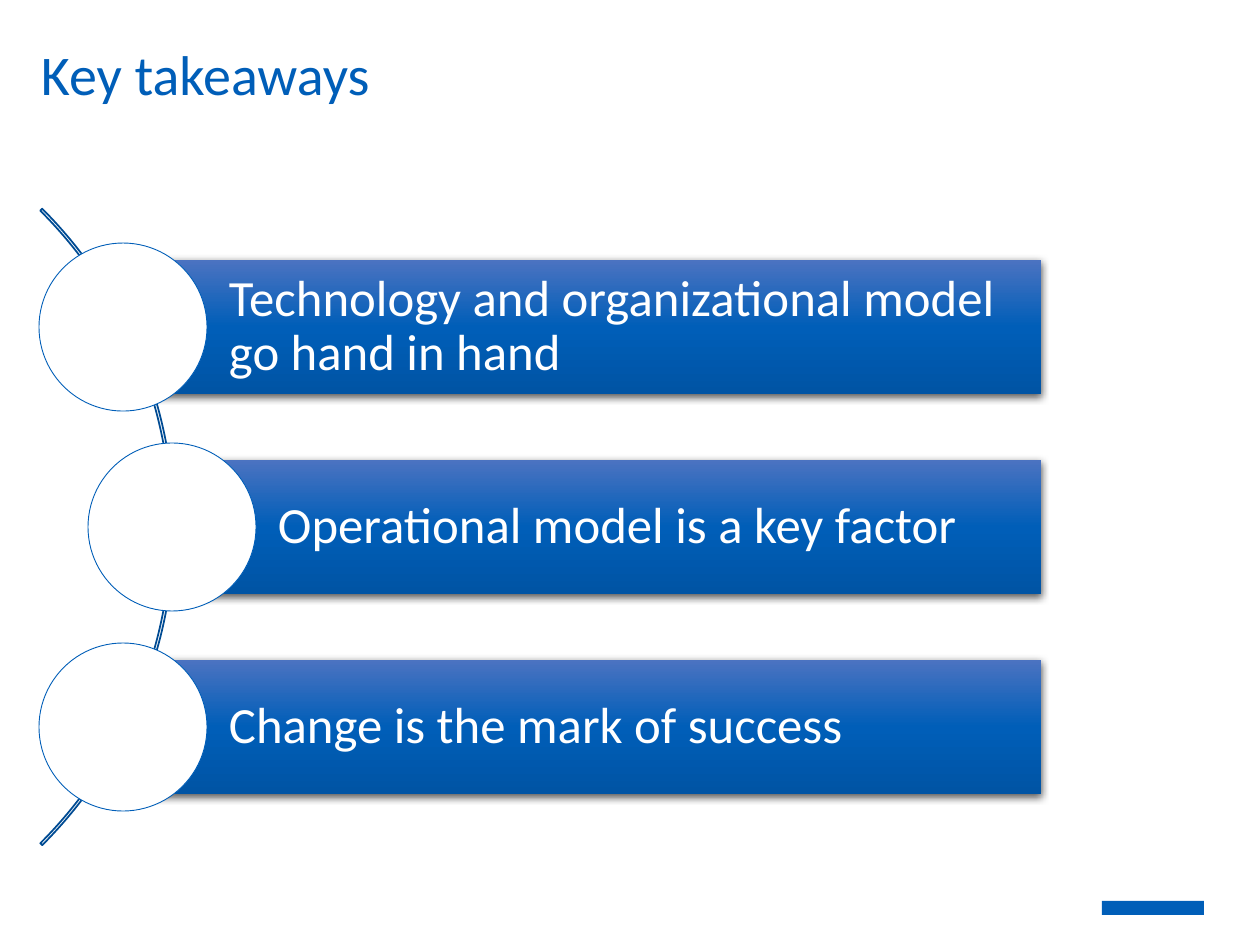
from dataclasses import dataclass

from pptx import Presentation
from pptx.dml.color import RGBColor
from pptx.enum.shapes import MSO_SHAPE
from pptx.enum.text import MSO_ANCHOR, PP_ALIGN
from pptx.oxml import parse_xml
from pptx.oxml.ns import nsdecls
from pptx.util import Emu, Pt

RECT, OVAL, BLOCK_ARC = MSO_SHAPE.RECTANGLE, MSO_SHAPE.OVAL, MSO_SHAPE.BLOCK_ARC
TOP, MIDDLE = MSO_ANCHOR.TOP, MSO_ANCHOR.MIDDLE
LEFT = PP_ALIGN.LEFT

SLIDE_WIDTH, SLIDE_HEIGHT = 1260, 945
EMU_PER_PX = 914400 / 126


@dataclass(frozen=True)
class Theme:
    font: str = "Calibri"
    title_size: int = 32
    takeaway_size: int = 29
    blue: str = "005EB8"
    arc_line: str = "004B93"
    white: str = "FFFFFF"
    shadow: str = "000000"
    bar_stops: tuple = ((0, "4B73C1"), (50, "005EB8"), (100, "0054A4"))


def px(length):
    return Emu(round(length * EMU_PER_PX))


class TakeawaySlide:
    def __init__(self, slide, theme):
        self.slide = slide
        self.theme = theme

    def shape(self, kind, left, top, width, height, fill=None, line=None, line_width=1):
        shape = self.slide.shapes.add_shape(
            kind, px(left), px(top), px(width), px(height))
        shape.shadow.inherit = False
        if fill:
            shape.fill.solid()
            shape.fill.fore_color.rgb = RGBColor.from_string(fill)
        else:
            shape.fill.background()
        if line:
            shape.line.color.rgb = RGBColor.from_string(line)
            shape.line.width = Pt(line_width)
        else:
            shape.line.fill.background()
        return shape

    def set_text(self, shape, text, size, color, anchor, insets, line_spacing=1.0):
        """Set the text; insets are left, top, right, bottom."""
        frame = shape.text_frame
        frame.word_wrap = True
        frame.vertical_anchor = anchor
        (frame.margin_left, frame.margin_top,
         frame.margin_right, frame.margin_bottom) = map(px, insets)
        paragraph = frame.paragraphs[0]
        paragraph.text = text
        paragraph.alignment = LEFT
        paragraph.line_spacing = line_spacing
        paragraph.font.name = self.theme.font
        paragraph.font.size = Pt(size)
        paragraph.font.color.rgb = RGBColor.from_string(color)

    def title(self, text, left, top, width, height):
        box = self.slide.shapes.add_textbox(px(left), px(top), px(width), px(height))
        self.set_text(box, text, self.theme.title_size, self.theme.blue, TOP, (13, 0, 13, 6))

    def arc(self, left, top, size):
        arc = self.shape(BLOCK_ARC, left, top, size, size, line=self.theme.arc_line)
        for index, value in enumerate((189, 27, 0.003)):
            arc.adjustments[index] = value

    def shade_bar(self, bar):
        """Give the bar its three-stop gradient and soft shadow below."""
        stops = "".join(
            f'<a:gs pos="{position * 1000}"><a:srgbClr val="{color}"/></a:gs>'
            for position, color in self.theme.bar_stops)
        gradient = parse_xml(
            f'<a:gradFill {nsdecls("a")} rotWithShape="1"><a:gsLst>{stops}</a:gsLst>'
            '<a:lin ang="5400000" scaled="0"/></a:gradFill>')
        shadow = parse_xml(
            f'<a:outerShdw {nsdecls("a")} blurRad="{Pt(4.5)}" dist="{Pt(1.5)}" '
            'dir="5400000" algn="ctr" rotWithShape="0">'
            f'<a:srgbClr val="{self.theme.shadow}"><a:alpha val="63000"/></a:srgbClr>'
            '</a:outerShdw>')
        properties = bar.element.spPr
        properties.replace(properties.find("{*}noFill"), gradient)
        properties.find("{*}effectLst").append(shadow)

    def takeaway(self, text, left, top, right, height, diameter):
        """Draw a bar with a circle centred on its left edge."""
        bar = self.shape(RECT, left, top, right - left, height)
        self.shade_bar(bar)
        self.set_text(bar, text, self.theme.takeaway_size, self.theme.white, MIDDLE,
                      (106, 10, 10, 10), line_spacing=0.9)
        radius = diameter // 2
        self.shape(OVAL, left - radius, top + height // 2 - radius, diameter, diameter,
                   self.theme.white, self.theme.blue, 0.5)


def main():
    presentation = Presentation()
    presentation.slide_width = px(SLIDE_WIDTH)
    presentation.slide_height = px(SLIDE_HEIGHT)
    theme = Theme()
    page = TakeawaySlide(
        presentation.slides.add_slide(presentation.slide_layouts[6]), theme)

    page.shape(RECT, 1102, 901, 102, 14, theme.blue)
    page.title("Key takeaways", 28, 40, 1163, 67)
    page.arc(-726, 77, 900)

    first_top, pitch = 260, 200
    takeaways = (
        ("Technology and organizational model go hand in hand", 123),
        ("Operational model is a key factor", 172),
        ("Change is the mark of success", 123),
    )
    for row, (text, left) in enumerate(takeaways):
        page.takeaway(text, left, first_top + row * pitch,
                      right=1041, height=134, diameter=168)

    presentation.save("out.pptx")


if __name__ == "__main__":
    main()
